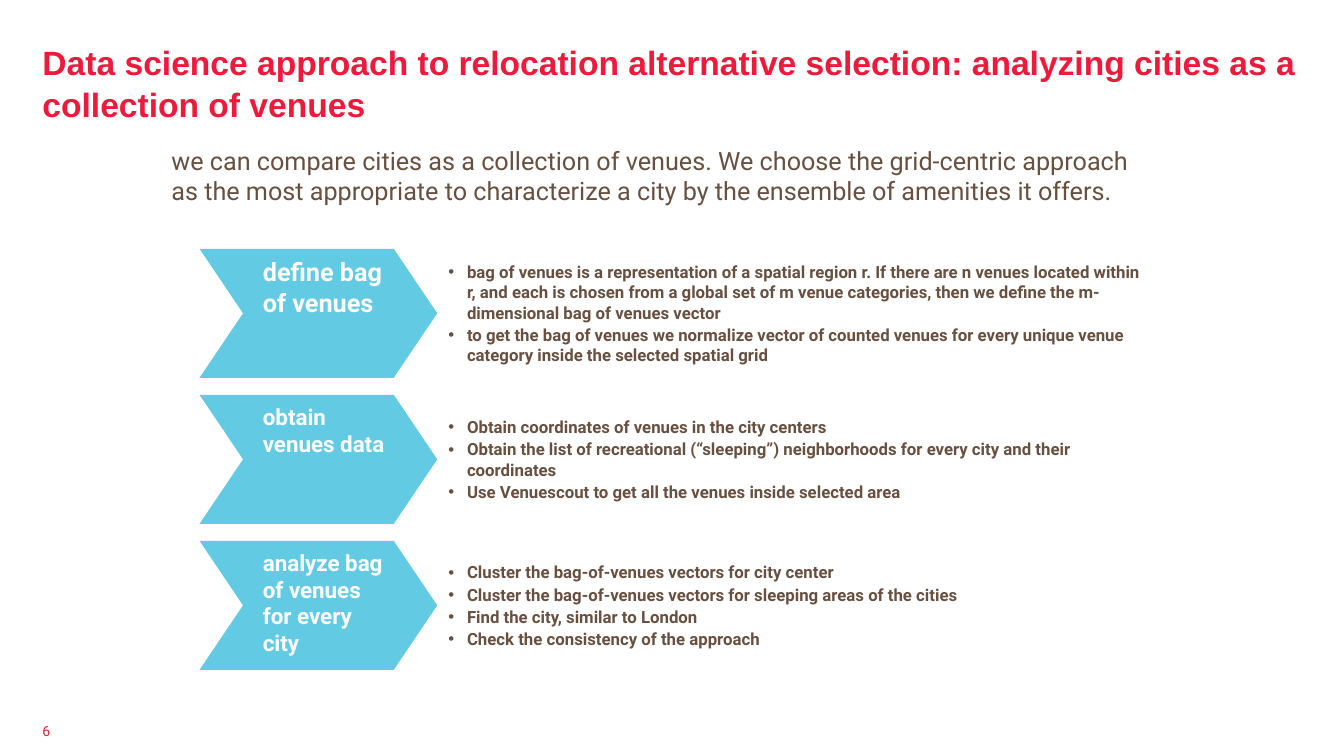
from lxml.etree import SubElement
from pptx import Presentation
from pptx.dml.color import RGBColor
from pptx.enum.shapes import MSO_SHAPE
from pptx.enum.text import MSO_ANCHOR, MSO_AUTO_SIZE, PP_ALIGN
from pptx.oxml.ns import qn
from pptx.util import Cm, Pt

RED, BROWN, BLUE, WHITE = "ED1A3B", "685040", "62CAE3", "FFFFFF"

TITLE = ("Data science approach to relocation alternative selection: "
         "analyzing cities as a collection of venues")
INTRO = ("we can compare cities as a collection of venues. We choose the "
         "grid-centric approach as the most appropriate to characterize a "
         "city by the ensemble of amenities it offers.")
PAGE = "6"
# Each step: chevron label, label size, bullet points
STEPS = [
    ("define bag of venues", 18, [
        "bag of venues is a representation of a spatial region r. If there "
        "are n venues located within r, and each is chosen from a global set "
        "of m venue categories, then we define the m-dimensional bag of "
        "venues vector",
        "to get the bag of venues we normalize vector of counted venues for "
        "every unique venue category inside the selected spatial grid",
    ]),
    ("obtain venues data", 16, [
        "Obtain coordinates of venues in the city centers",
        "Obtain the list of recreational (“sleeping”) neighborhoods for "
        "every city and their coordinates",
        "Use Venuescout to get all the venues inside selected area",
    ]),
    ("analyze bag of venues for every city", 16, [
        "Cluster the bag-of-venues vectors for city center",
        "Cluster the bag-of-venues vectors for sleeping areas of the cities",
        "Find the city, similar to London",
        "Check the consistency of the approach",
    ]),
]

# Lengths in centimetres
EDGE = 1.07
TOP, PITCH, HIGH = 6.27, 3.68, 3.25
STEP_X, STEP_W = 5.03, 5.99
LIST_X, LIST_W = 11.3, 17.53
INDENT = 0.47


def color(code):
    """Turn a hex string into a colour."""
    return RGBColor.from_string(code)


def place(shape, left, top, width, height):
    """Set a shape's position and size in centimetres."""
    shape.left, shape.top = Cm(left), Cm(top)
    shape.width, shape.height = Cm(width), Cm(height)


def write(shape, lines, size, tint, bold=False, font="Roboto",
          anchor=MSO_ANCHOR.TOP, pads=(0, 0, 0, 0)):
    """Fill a shape with left-aligned paragraphs and return them."""
    frame = shape.text_frame
    frame.text = "\n".join(lines)
    frame.word_wrap = True
    frame.auto_size = MSO_AUTO_SIZE.NONE
    frame.vertical_anchor = anchor
    (frame.margin_left, frame.margin_top,
     frame.margin_right, frame.margin_bottom) = map(Cm, pads)
    for para in frame.paragraphs:
        para.alignment = PP_ALIGN.LEFT
        para.font.name, para.font.size = font, Pt(size)
        para.font.bold = bold
        para.font.color.rgb = color(tint)
    return frame.paragraphs


def add_text(slide, box, *args, **style):
    """Add a text box and return its paragraphs."""
    return write(slide.shapes.add_textbox(*map(Cm, box)), *args, **style)


def add_bullet(para):
    """Give a paragraph a round bullet and a hanging indent."""
    props = para._p.get_or_add_pPr()
    props.set("marL", str(Cm(INDENT)))
    props.set("indent", str(-Cm(INDENT)))
    para.space_after = Pt(1.4)
    SubElement(props, qn("a:buFont")).set("typeface", "Arial")
    SubElement(props, qn("a:buChar")).set("char", "•")


def add_step(slide, top, label, size, points):
    """Draw one chevron with its bullet list."""
    step = slide.shapes.add_shape(
        MSO_SHAPE.CHEVRON, *map(Cm, (STEP_X, top, STEP_W, HIGH)))
    step.adjustments[0] = 0.337
    step.shadow.inherit = False
    step.fill.solid()
    step.fill.fore_color.rgb = color(BLUE)
    step.line.fill.background()
    write(step, [label], size, WHITE, bold=True, pads=(0.5, 0.2, 0.2, 0.2))
    for para in add_text(slide, (LIST_X, top, LIST_W, HIGH), points, 12,
                         BROWN, bold=True, anchor=MSO_ANCHOR.MIDDLE):
        add_bullet(para)


deck = Presentation()
deck.slide_width, deck.slide_height = Cm(33.87), Cm(19.05)
slide = deck.slides.add_slide(deck.slide_layouts[5])

title = slide.shapes.title
place(title, EDGE, 1, 31.75, 2.67)
head = write(title, [TITLE], 24, RED, bold=True, font="Arial")[0]
head.line_spacing = 1.05

add_text(slide, (4.32, 3.66, 24.77, 1.75), [INTRO], 18, BROWN)
for row, step in enumerate(STEPS):
    add_step(slide, TOP + row * PITCH, *step)
add_text(slide, (EDGE, 18.2, 1.3, 0.43), [PAGE], 10, RED)

deck.save("out.pptx")
